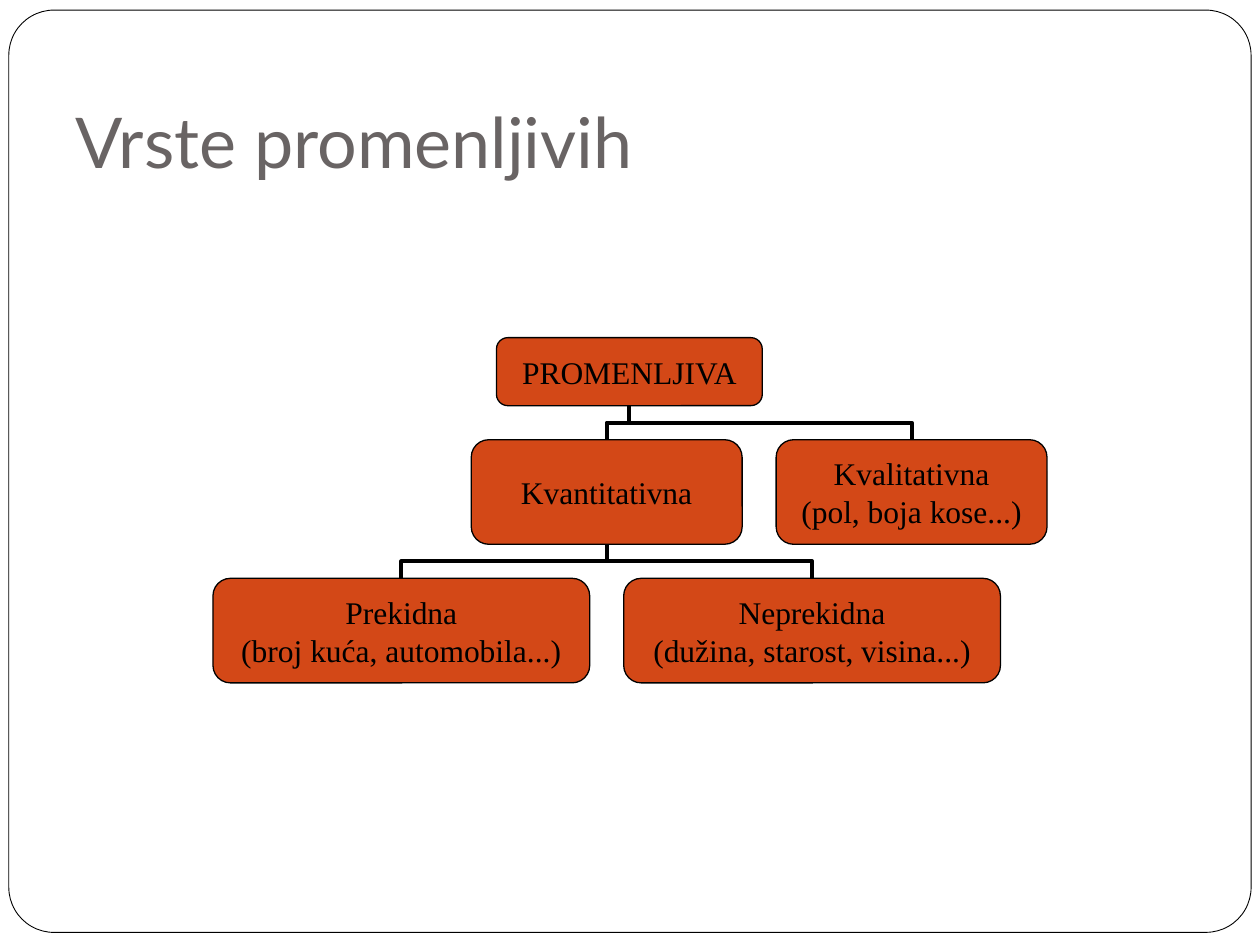
from dataclasses import dataclass

from lxml import etree
from pptx import Presentation
from pptx import util as u
from pptx.dml.color import RGBColor
from pptx.enum import shapes, text
from pptx.oxml.ns import qn

WHITE = RGBColor(0xFF, 0xFF, 0xFF)
BLACK = RGBColor(0x00, 0x00, 0x00)
ORANGE = RGBColor(0xD3, 0x48, 0x17)
GREY = RGBColor(0x69, 0x64, 0x64)

# Grid of the tree, in inches: three rows with equal gaps
GAP = 0.27
ROW_HEIGHTS = (0.54, 0.83, 0.83)
ROW_TOPS = [2.68 + sum(ROW_HEIGHTS[:row]) + GAP * row for row in range(3)]


@dataclass(frozen=True)
class Node:
    row: int
    left: float
    width: float
    lines: tuple[str, ...]

    @property
    def top(self) -> float:
        return ROW_TOPS[self.row]

    @property
    def height(self) -> float:
        return ROW_HEIGHTS[self.row]

    @property
    def middle(self) -> float:
        return self.left + self.width / 2


VARIABLE = Node(0, 3.94, 2.11, ("PROMENLJIVA",))
QUANTITATIVE = Node(1, 3.74, 2.15, ("Kvantitativna",))
QUALITATIVE = Node(1, 6.16, 2.15, ("Kvalitativna", "(pol, boja kose...)"))
DISCRETE = Node(2, 1.69, 2.99, ("Prekidna", "(broj kuća, automobila...)"))
CONTINUOUS = Node(2, 4.95, 2.99, ("Neprekidna", "(dužina, starost, visina...)"))

NODES = (VARIABLE, QUANTITATIVE, QUALITATIVE, DISCRETE, CONTINUOUS)
BRANCHES = (
    (CONTINUOUS, QUANTITATIVE),
    (DISCRETE, QUANTITATIVE),
    (QUALITATIVE, VARIABLE),
    (QUANTITATIVE, VARIABLE),
)


def add_rounded(page, left: float, top: float, width: float, height: float,
                corner: float, fill: RGBColor, weight: float):
    box = page.shapes.add_shape(
        shapes.MSO_SHAPE.ROUNDED_RECTANGLE,
        u.Inches(left), u.Inches(top), u.Inches(width), u.Inches(height))
    box.adjustments[0] = corner
    box.shadow.inherit = False
    box.fill.solid()
    box.fill.fore_color.rgb = fill
    box.line.color.rgb = BLACK
    box.line.width = u.Pt(weight)
    return box


def add_branch(page, child: Node, parent: Node) -> None:
    """Elbow from the child's top up to the parent's bottom, turned upright."""
    rise = child.top - parent.top - parent.height
    run = abs(child.middle - parent.middle)
    x = (child.middle + parent.middle) / 2
    y = child.top - rise / 2
    side = 1 if child.middle > parent.middle else -1
    branch = page.shapes.add_connector(
        shapes.MSO_CONNECTOR.ELBOW,
        u.Inches(x - side * rise / 2), u.Inches(y + run / 2),
        u.Inches(x + side * rise / 2), u.Inches(y - run / 2))
    quarter_turns = 3 if side > 0 else 1
    properties = branch._element.spPr
    properties.find(qn("a:xfrm")).set("rot", str(quarter_turns * 90 * 60000))
    branch.line.color.rgb = BLACK
    branch.line.width = u.Pt(2.25)
    etree.SubElement(properties, qn("a:effectLst"))


def add_node(page, node: Node) -> None:
    box = add_rounded(page, node.left, node.top, node.width, node.height,
                      0.167, ORANGE, 0.75)
    frame = box.text_frame
    frame.word_wrap = False
    frame.vertical_anchor = text.MSO_ANCHOR.MIDDLE
    frame.text = "\n".join(node.lines)
    for para in frame.paragraphs:
        para.alignment = text.PP_ALIGN.CENTER
        para.font.name = "Times New Roman"
        para.font.size = u.Pt(18)
        para.font.color.rgb = BLACK


def add_title(page, words: str) -> None:
    title = page.shapes.title
    title.left, title.top = u.Inches(0.5), u.Inches(0.13)
    title.width, title.height = u.Inches(8.25), u.Inches(1.42)
    frame = title.text_frame
    frame.text = words
    frame.word_wrap = True
    frame.auto_size = text.MSO_AUTO_SIZE.NONE
    frame.vertical_anchor = text.MSO_ANCHOR.BOTTOM
    frame.margin_bottom = u.Inches(0.1)
    para = frame.paragraphs[0]
    para.alignment = text.PP_ALIGN.LEFT
    para.font.name = "Lato"
    para.font.size = u.Pt(40)
    para.font.color.rgb = GREY


def main() -> None:
    deck = Presentation()
    deck.slide_width, deck.slide_height = u.Inches(10), u.Inches(7.5)
    page = deck.slides.add_slide(deck.slide_layouts[5])

    # Page border, sent behind the title
    border = add_rounded(page, 0.07, 0.08, 9.86, 7.32, 0.049, WHITE, 0.5)
    page.shapes.title._element.addprevious(border._element)
    add_title(page, "Vrste promenljivih")

    # Tree: branches first, boxes over them
    for child, parent in BRANCHES:
        add_branch(page, child, parent)
    for node in NODES:
        add_node(page, node)

    deck.save("out.pptx")


if __name__ == "__main__":
    main()
